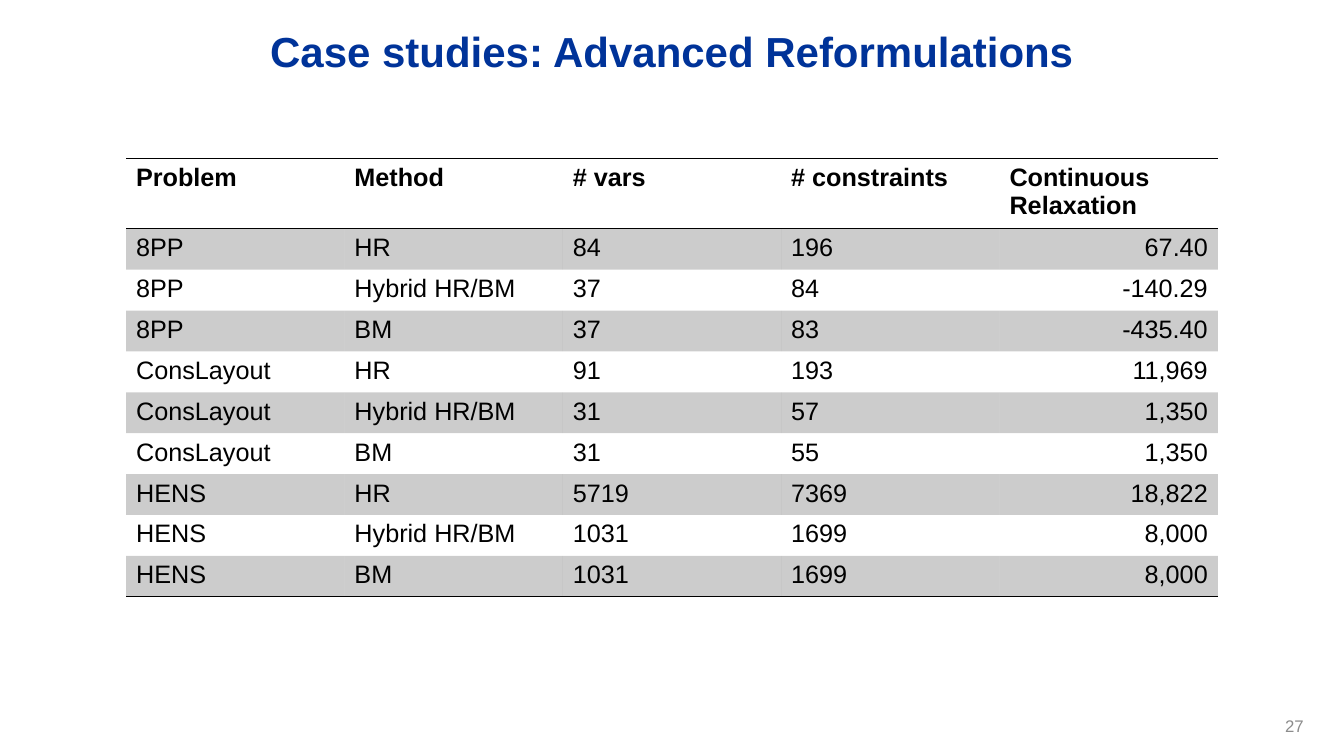
import pptx
import pptx.dml.color
import pptx.enum.text
import pptx.oxml
import pptx.oxml.ns
import pptx.util
from lxml import etree

ALIGN = pptx.enum.text.PP_ALIGN
ANCHOR = pptx.enum.text.MSO_ANCHOR
WIDTH, HEIGHT = 13.33, 7.5
BLACK, BLUE, GRAY = "000000", "003399", "8C8C8C"
NO_GRID_STYLE = "{2D5ABB26-0587-4C30-8999-92F81FD0307C}"

HEADINGS = ["Problem", "Method", "# vars", "# constraints", "Continuous Relaxation"]
METHODS = ["HR", "Hybrid HR/BM", "BM"]
RESULTS = {
    "8PP": [("84", "196", "67.40"), ("37", "84", "-140.29"), ("37", "83", "-435.40")],
    "ConsLayout": [("91", "193", "11,969"), ("31", "57", "1,350"), ("31", "55", "1,350")],
    "HENS": [("5719", "7369", "18,822"), ("1031", "1699", "8,000"), ("1031", "1699", "8,000")],
}


def color(hex_value):
    return pptx.dml.color.RGBColor.from_string(hex_value)


def inches(*lengths):
    return [pptx.util.Inches(length) for length in lengths]


def write_text(frame, text, size=18, hex_value=BLACK, bold=False, align=ALIGN.LEFT):
    paragraph = frame.paragraphs[0]
    paragraph.alignment = align
    run = paragraph.add_run()
    run.text = text
    run.font.name = "Arial"
    run.font.size = pptx.util.Pt(size)
    run.font.bold = bold
    run.font.color.rgb = color(hex_value)


def add_title(slide, text):
    title = slide.shapes.title
    title.left, title.top, title.width, title.height = inches(
        WIDTH * 0.05, 0.2, WIDTH * 0.9, HEIGHT * 0.08)
    title.text_frame.vertical_anchor = ANCHOR.MIDDLE
    title.text_frame.auto_size = pptx.enum.text.MSO_AUTO_SIZE.SHAPE_TO_FIT_TEXT
    write_text(title.text_frame, text, size=30, hex_value=BLUE, bold=True, align=ALIGN.CENTER)


def add_page_number(slide, number):
    box = slide.shapes.add_textbox(*inches(9.92, 7, 3.11, 0.4))
    box.text_frame.word_wrap = True
    box.text_frame.vertical_anchor = ANCHOR.MIDDLE
    write_text(box.text_frame, number, size=12, hex_value=GRAY, align=ALIGN.RIGHT)


def add_border(cell, side, position):
    line = pptx.oxml.parse_xml(
        f'<a:{side} {pptx.oxml.ns.nsdecls("a")} w="12700"><a:solidFill>'
        f'<a:srgbClr val="{BLACK}"/></a:solidFill></a:{side}>')
    cell._tc.get_or_add_tcPr().insert(position, line)


def shade(cell, opacity):
    cell.fill.solid()
    cell.fill.fore_color.rgb = color(BLACK)
    tint = next(cell._tc.tcPr.iter(pptx.oxml.ns.qn("a:srgbClr")))
    etree.SubElement(tint, pptx.oxml.ns.qn("a:alpha"), val=str(opacity * 1000))


def add_results_table(slide, rows):
    column_width, row_height = 10.83 / len(HEADINGS), 3.65 / (len(rows) - 1)
    table = slide.shapes.add_table(
        len(rows), len(HEADINGS),
        *inches(1.25, 1.57, column_width * len(HEADINGS), row_height * len(rows))).table
    table._tbl.tblPr.find(pptx.oxml.ns.qn("a:tableStyleId")).text = NO_GRID_STYLE

    for row_index, row in enumerate(rows):
        is_header = row_index == 0
        for column_index, text in enumerate(row):
            cell = table.cell(row_index, column_index)
            is_value = not is_header and column_index == len(HEADINGS) - 1
            write_text(cell.text_frame, text, bold=is_header,
                       align=ALIGN.RIGHT if is_value else ALIGN.LEFT)
            # Every second row is shaded
            if row_index % 2:
                shade(cell, 20)
            else:
                cell.fill.background()
            # Rules around the header and below the last row
            if is_header or row_index == len(rows) - 1:
                add_border(cell, "lnB", 0)
            if is_header:
                add_border(cell, "lnT", 0)


def main():
    presentation = pptx.Presentation()
    presentation.slide_width, presentation.slide_height = inches(WIDTH, HEIGHT)
    slide = presentation.slides.add_slide(presentation.slide_layouts.get_by_name("Title Only"))

    add_title(slide, "Case studies: Advanced Reformulations")
    add_page_number(slide, "27")
    rows = [HEADINGS] + [
        [problem, method, *values]
        for problem, results in RESULTS.items()
        for method, values in zip(METHODS, results)
    ]
    add_results_table(slide, rows)

    presentation.save("out.pptx")


if __name__ == "__main__":
    main()
